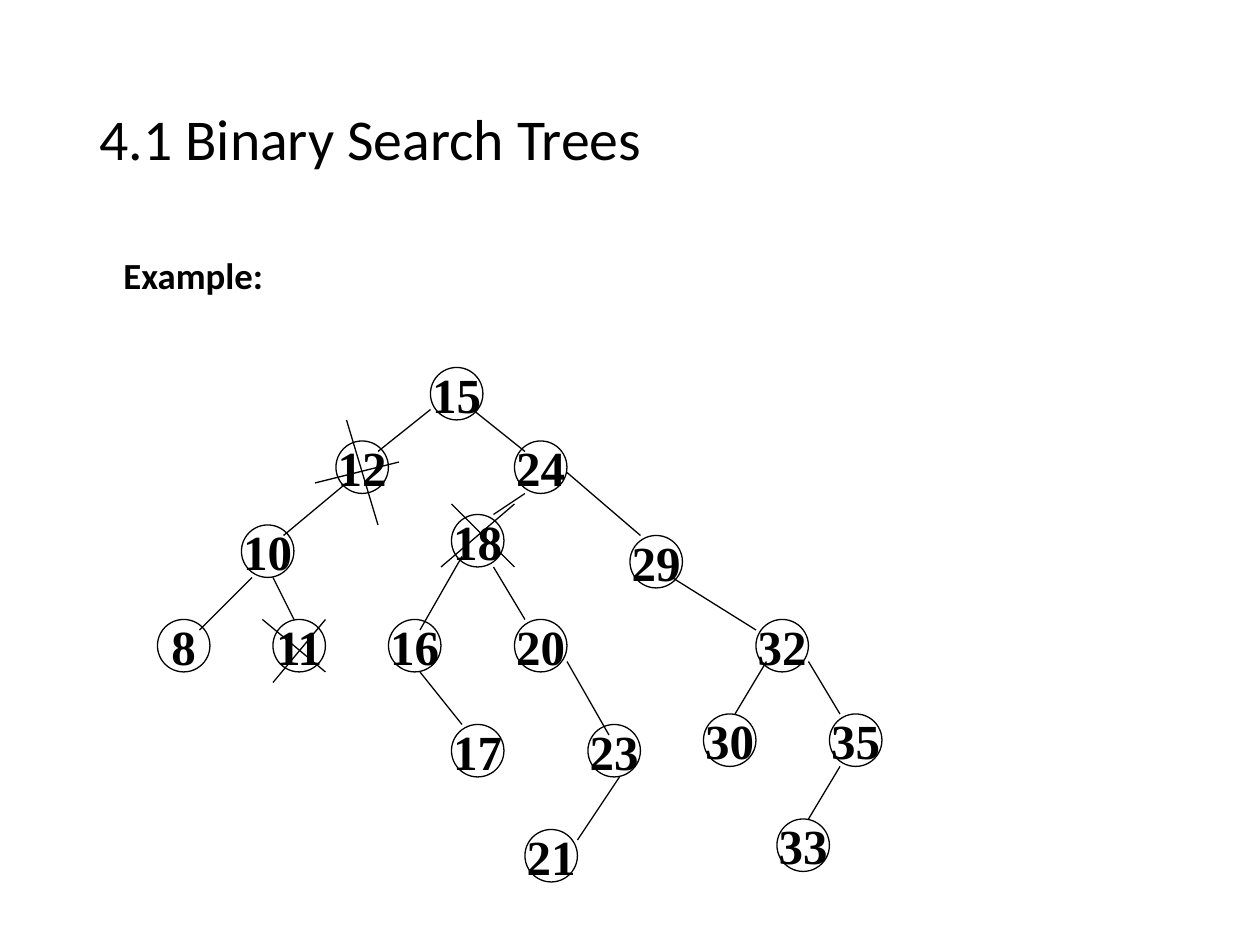
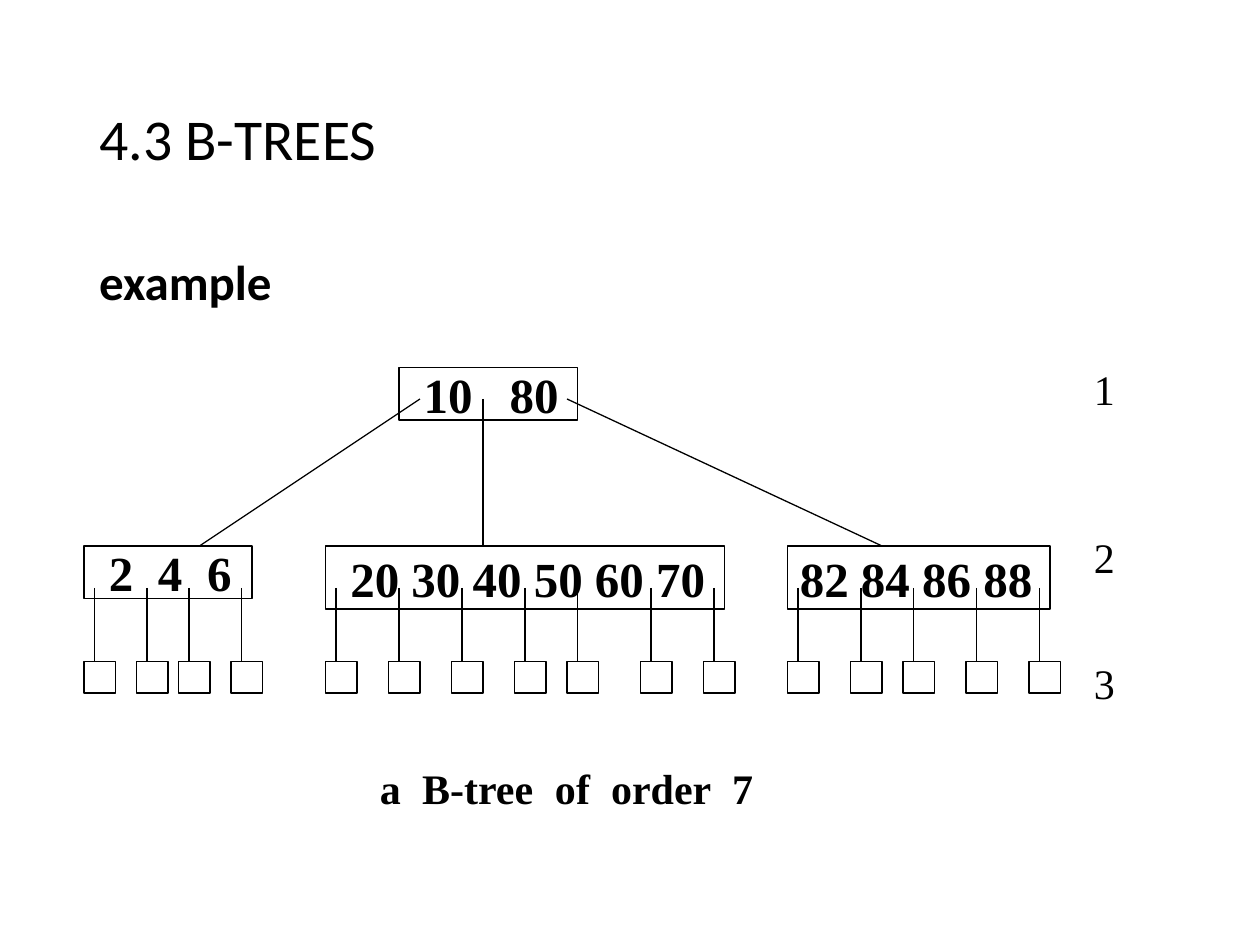
"""Build two slides on search trees: a binary search tree and a B-tree."""
from lxml import etree
from pptx import Presentation
from pptx import util as u
from pptx.dml.color import RGBColor
from pptx.enum import shapes, text
from pptx.oxml.ns import qn

COLORS = {"ink": "000000"}
SANS, SERIF = "Calibri", "Times New Roman"
INK = RGBColor.from_string(COLORS["ink"])
LINE_WIDTH = u.Pt(0.75)
NODE_SIZE, LEAF_SIZE = 5, 3
LEAF_TOP, STEM_TOP = 63, 56

BINARY_NODES = {
    15: (41, 35), 12: (32, 42), 24: (49, 42), 10: (23, 50), 8: (15, 59),
    11: (26, 59), 18: (43, 49), 16: (37, 59), 17: (43, 69), 20: (49, 59),
    29: (60, 51), 23: (56, 69), 21: (50, 79), 32: (72, 59), 30: (67, 68),
    35: (79, 68), 33: (74, 78),
}
BINARY_EDGES = [
    (41, 39, 36, 43), (33, 46, 27, 51), (24, 55, 19, 60), (26, 55, 28, 59),
    (45, 39, 50, 43), (50, 47, 47, 49), (44, 53, 40, 60), (40, 64, 44, 69),
    (54, 45, 61, 51), (64, 55, 72, 60), (77, 63, 80, 68), (47, 54, 50, 59),
    (54, 63, 58, 70), (59, 74, 55, 80), (73, 63, 70, 68), (80, 73, 77, 78),
]
DELETION_STROKES = [
    (31, 59, 26, 65), (25, 59, 31, 64), (38, 44, 30, 46),
    (33, 40, 36, 50), (49, 48, 42, 54), (43, 48, 49, 54),
]
BTREE_NODES = [
    ("10\t80", (38, 35, 17, 5), 0.5, [1.73]),
    ("2\t4\t6", (8, 52, 16, 5), 0.5, [0.99, 1.98]),
    ("20 30 40 50 60 70", (31, 52, 38, 6), 0.5, []),
    ("82 84 86 88", (75, 52, 25, 6), 0.25, []),
]
BTREE_EDGES = [(40, 38, 19, 52), (46, 38, 46, 52), (54, 38, 84, 52)]
LEAF_LEFTS = [8, 13, 17, 22, 31, 37, 43, 49, 54, 61, 67, 75, 81, 86, 92, 98]
LEVELS = {"1": (103, 34, 4, 6), "2": (103, 50, 4, 6), "3": (103, 62, 5, 6)}


def grid(*steps):
    """Turn steps of a twelfth of an inch into lengths."""
    return [u.Cm(step * 2.54 / 12) for step in steps]


def write(frame, words, size, face, bold=False, align=text.PP_ALIGN.LEFT, tabs=()):
    """Write one formatted paragraph, with tab stops given in centimetres."""
    frame.text = words
    para = frame.paragraphs[0]
    para.alignment = align
    if tabs:
        stops = etree.SubElement(para._p.get_or_add_pPr(), qn("a:tabLst"))
        for stop in tabs:
            etree.SubElement(stops, qn("a:tab"), pos=str(u.Cm(stop)), algn="l")
    para.font.size = u.Pt(size)
    para.font.name = face
    para.font.bold = bold
    para.font.color.rgb = INK
    return para


def add_titled_page(deck, title):
    """Add a title-only page with the shared title style."""
    page = deck.slides.add_slide(deck.slide_layouts[5])
    box = page.shapes.title
    box.left, box.top, box.width, box.height = map(u.Cm, (1.75, 1.02, 21.92, 3.68))
    box.text_frame.vertical_anchor = text.MSO_ANCHOR.MIDDLE
    write(box.text_frame, title, 33, SANS).line_spacing = 0.9
    return page


def add_text(page, words, place, size, face, inset=0.25, **style):
    """Add a wrapping text box and return its paragraph."""
    frame = page.shapes.add_textbox(*place).text_frame
    frame.word_wrap = True
    frame.margin_left = u.Cm(inset)
    return write(frame, words, size, face, **style)


def add_outline(page, kind, place):
    """Add an unfilled shape with a thin outline."""
    shape = page.shapes.add_shape(kind, *grid(*place))
    shape.shadow.inherit = False
    shape.fill.background()
    shape.line.color.rgb = INK
    shape.line.width = LINE_WIDTH
    return shape


def add_node(page, kind, words, place, inset=0.25, **style):
    """Add a tree node holding one or more keys."""
    frame = add_outline(page, kind, place).text_frame
    frame.word_wrap = False
    frame.vertical_anchor = text.MSO_ANCHOR.MIDDLE
    frame.margin_left = u.Cm(inset)
    write(frame, words, 28, SERIF, bold=True, **style)


def add_line(page, ends):
    """Add a thin straight line between two grid points."""
    line = page.shapes.add_connector(shapes.MSO_CONNECTOR.STRAIGHT, *grid(*ends))
    line.line.color.rgb = INK
    line.line.width = LINE_WIDTH
    etree.SubElement(line._element.spPr, qn("a:effectLst"))


def build_binary_tree(deck):
    """Draw the binary search tree with its deleted nodes struck out."""
    page = add_titled_page(deck, "4.1 Binary Search Trees")
    place = [u.Cm(length) for length in (1.9, 5.08, 21.59, 12.7)]
    add_text(page, "Example:", place, 21, SANS, inset=0.59, bold=True).line_spacing = 0.9
    for key, corner in BINARY_NODES.items():
        add_node(page, shapes.MSO_SHAPE.OVAL, str(key),
                 (*corner, NODE_SIZE, NODE_SIZE), align=text.PP_ALIGN.CENTER)
    for ends in BINARY_EDGES + DELETION_STROKES:
        add_line(page, ends)


def build_btree(deck):
    """Draw the B-tree with its leaves, level numbers and caption."""
    page = add_titled_page(deck, "4.3 B-TREES")
    place = [u.Cm(length) for length in (1.75, 5.08, 21.92, 12.09)]
    add_text(page, "example", place, 28, SANS, bold=True).line_spacing = 0.9
    for keys, place, inset, tabs in BTREE_NODES:
        add_node(page, shapes.MSO_SHAPE.RECTANGLE, keys, place, inset, tabs=tabs)
    for ends in BTREE_EDGES:
        add_line(page, ends)
    for left in LEAF_LEFTS:
        add_outline(page, shapes.MSO_SHAPE.RECTANGLE, (left, LEAF_TOP, LEAF_SIZE, LEAF_SIZE))
        add_line(page, (left + 1, STEM_TOP, left + 1, LEAF_TOP))
    for level, place in LEVELS.items():
        add_text(page, level, grid(*place), 24, SERIF)
    add_text(page, "a\tB-tree\tof\torder\t7", grid(29, 72, 56, 6), 24, SERIF,
             inset=1.52, bold=True, tabs=(0.85, 3.53, 4.66, 7.1))


def main():
    """Build and save the deck."""
    deck = Presentation()
    deck.slide_width, deck.slide_height = u.Cm(25.4), u.Cm(19.05)
    build_binary_tree(deck)
    build_btree(deck)
    deck.save("out.pptx")


if __name__ == "__main__":
    main()
